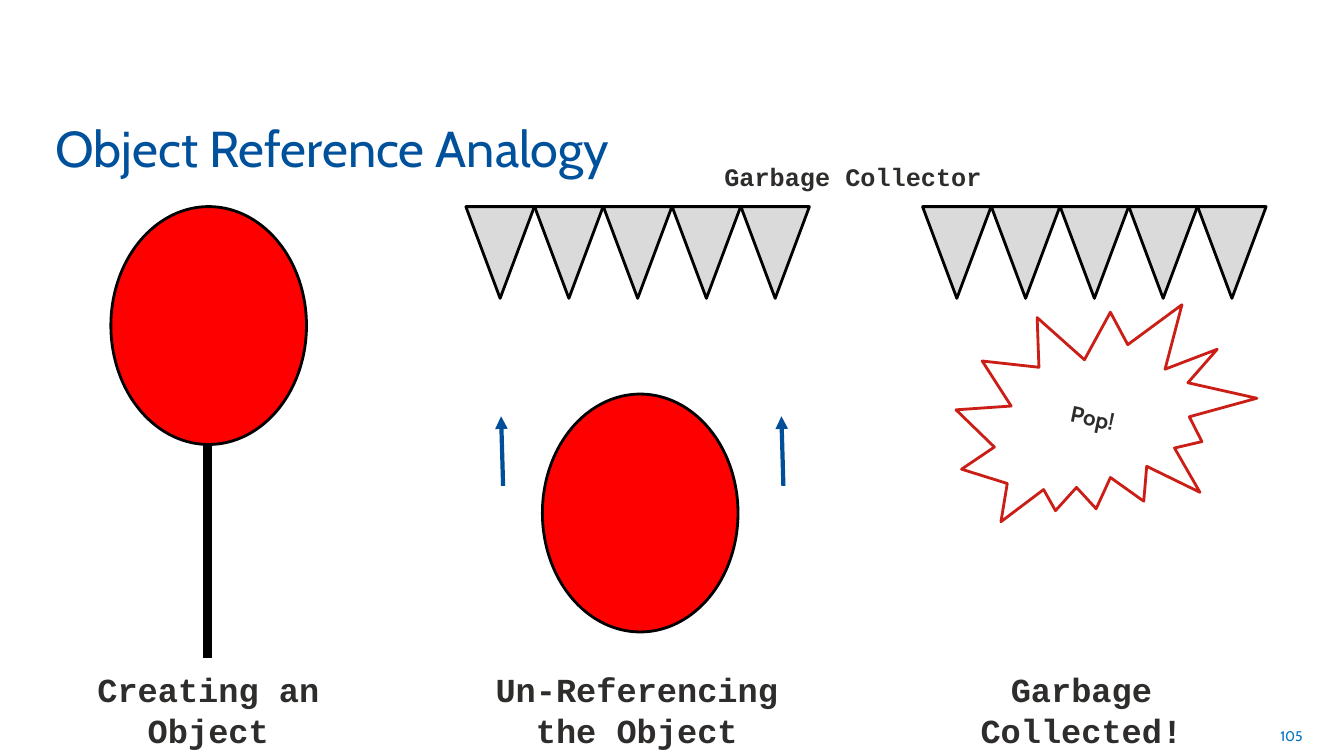
from lxml import etree
from pptx import Presentation
from pptx.dml.color import RGBColor
from pptx.enum.dml import MSO_LINE
from pptx.enum.shapes import MSO_CONNECTOR, MSO_SHAPE
from pptx.enum.text import MSO_ANCHOR, MSO_AUTO_SIZE, PP_ALIGN
from pptx.oxml.ns import qn
from pptx.util import Inches, Pt

COLORS = {
    "title": "00519C",
    "number": "0070C0",
    "text": "2E2D2C",
    "balloon": "FF0000",
    "spike": "DADADA",
    "outline": "000000",
    "arrow": "004F98",
    "burst": "FFFFFF",
    "burst_edge": "CA1E17",
}


def write(holder, text, font, size, color, align, anchor, bold=False):
    frame = holder.text_frame
    frame.word_wrap = True
    frame.auto_size = MSO_AUTO_SIZE.NONE
    frame.vertical_anchor = anchor
    paragraph = frame.paragraphs[0]
    paragraph.alignment = align
    run = paragraph.add_run()
    run.text = text
    run.font.name = font
    run.font.size = Pt(size)
    run.font.bold = bold
    run.font.color.rgb = RGBColor.from_string(COLORS[color])


def draw(preset, left, top, width, height, fill, edge, rotation=0):
    shape = slide.shapes.add_shape(
        preset, Inches(left), Inches(top), Inches(width), Inches(height))
    shape.rotation = rotation
    shape.shadow.inherit = False
    shape.fill.solid()
    shape.fill.fore_color.rgb = RGBColor.from_string(COLORS[fill])
    shape.line.color.rgb = RGBColor.from_string(COLORS[edge])
    shape.line.width = Pt(2)
    return shape


prs = Presentation()
prs.slide_width = Inches(13.33)
prs.slide_height = Inches(7.5)
slide = prs.slides.add_slide(prs.slide_layouts[5])

title = slide.shapes.title
title.left, title.top = Inches(0.45), Inches(1.13)
title.width, title.height = Inches(9.98), Inches(0.68)
write(title, "Object Reference Analogy", "Cabin", 36, "title",
      PP_ALIGN.LEFT, MSO_ANCHOR.BOTTOM)

page_number = slide.shapes.add_textbox(
    Inches(9.91), Inches(7.1), Inches(3.11), Inches(0.4))
write(page_number, "105", "Cabin", 10, "number", PP_ALIGN.RIGHT, MSO_ANCHOR.MIDDLE)

for left, top in [(1.1, 2.05), (5.38, 3.91)]:
    draw(MSO_SHAPE.OVAL, left, top, 1.94, 2.36, "balloon", "outline")

string_and_arrows = [
    (2.06, 4.41, 2.06, 6.53, "outline", 6, False),
    (4.99, 4.82, 4.97, 4.13, "arrow", 3, True),
    (7.77, 4.82, 7.75, 4.13, "arrow", 3, True),
]
for x1, y1, x2, y2, color, weight, has_head in string_and_arrows:
    stroke = slide.shapes.add_connector(
        MSO_CONNECTOR.STRAIGHT, Inches(x1), Inches(y1), Inches(x2), Inches(y2))
    stroke.line.color.rgb = RGBColor.from_string(COLORS[color])
    stroke.line.width = Pt(weight)
    stroke.line.dash_style = MSO_LINE.SOLID
    if has_head:
        etree.SubElement(stroke.line._get_or_add_ln(), qn("a:tailEnd"), type="triangle")
    etree.SubElement(stroke._element.spPr, qn("a:effectLst"))

for collector_left in (4.62, 9.15):
    for spike in range(5):
        draw(MSO_SHAPE.ISOSCELES_TRIANGLE, collector_left + spike * 0.682, 2.05,
             0.68, 0.91, "spike", "outline", 180)

burst = draw(MSO_SHAPE.EXPLOSION2, 9.5, 2.89, 2.9, 2.47, "burst", "burst_edge", 11.6)
write(burst, "Pop!", "Cabin", 16, "text", PP_ALIGN.CENTER, MSO_ANCHOR.MIDDLE, True)

labels = [
    ("Creating an Object", 0.24, 6.59, 3.65, 0.9, 24),
    ("Un-Referencing the Object", 4.49, 6.59, 3.65, 0.9, 24),
    ("Garbage Collected!", 8.9, 6.59, 3.65, 0.9, 24),
    ("Garbage Collector", 7.06, 1.55, 2.8, 0.4, 18),
]
for text, left, top, width, height, size in labels:
    label = slide.shapes.add_textbox(
        Inches(left), Inches(top), Inches(width), Inches(height))
    write(label, text, "Courier New", size, "text", PP_ALIGN.CENTER, MSO_ANCHOR.TOP, True)

prs.save("out.pptx")
